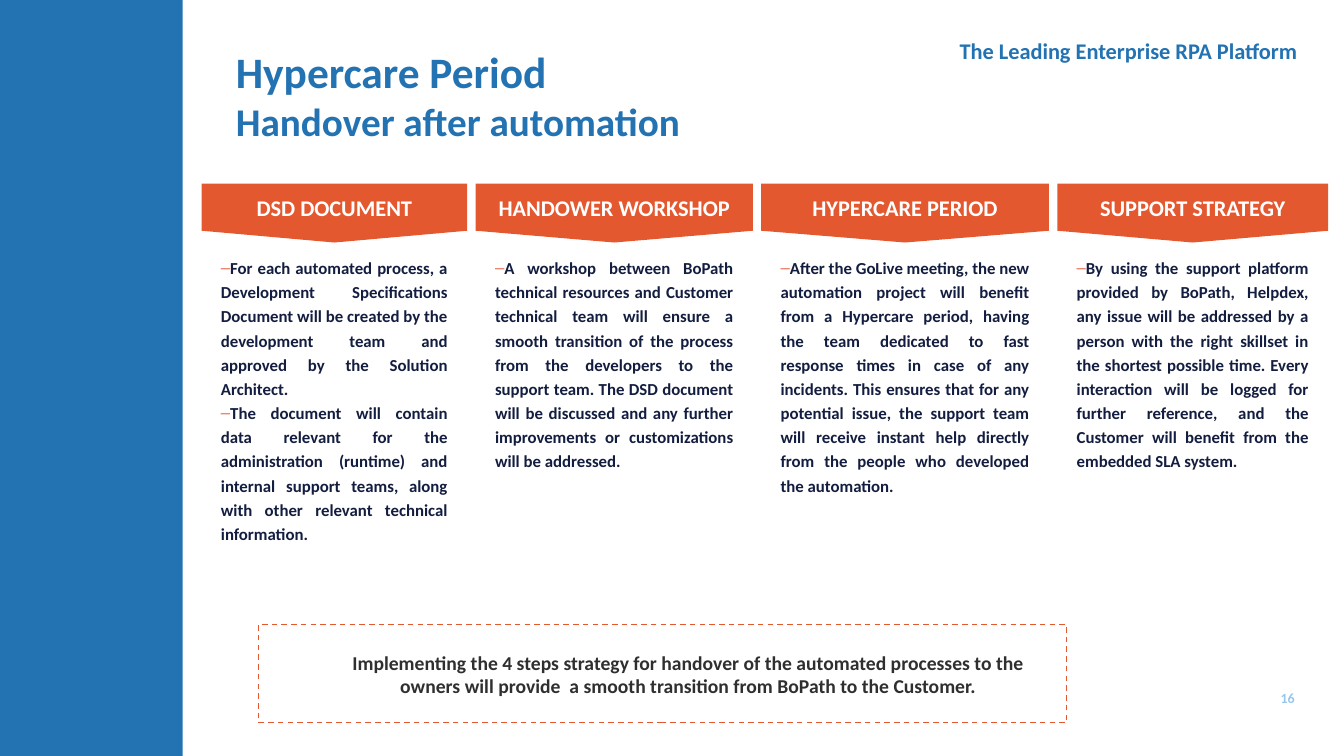
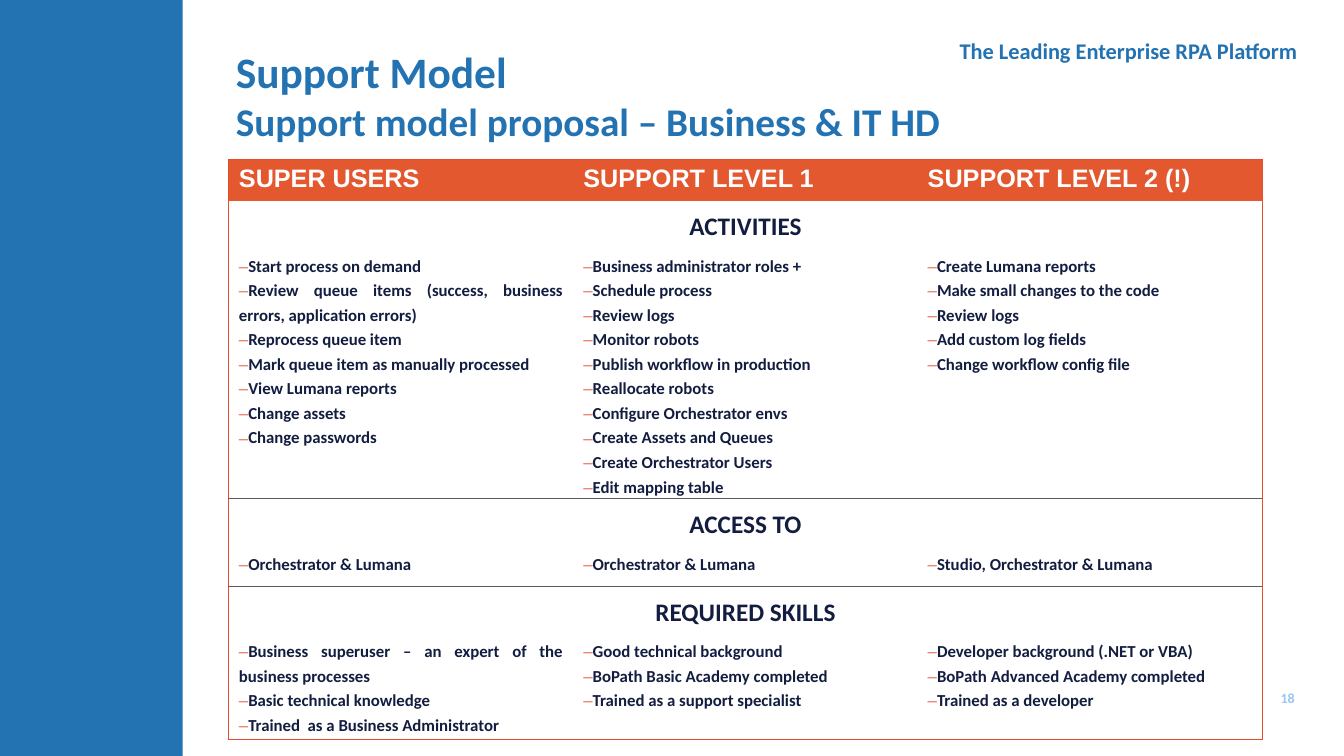
from lxml import etree
from pptx import Presentation
from pptx import util as u
from pptx.dml.color import RGBColor
from pptx.enum import dml, shapes, text
from pptx.oxml.ns import qn

PX = 9525
SLIDE_WIDTH, SLIDE_HEIGHT = 1280, 720

BLUE = RGBColor(0x23, 0x72, 0xB2)
PALE_BLUE = RGBColor(0x99, 0xC7, 0xEC)
ORANGE = RGBColor(0xE4, 0x58, 0x30)
BORDER_RED = RGBColor(0xE7, 0x4C, 0x2D)
BULLET_RED = RGBColor(0xEB, 0x6C, 0x53)
NAVY = RGBColor(0x13, 0x1D, 0x40)
DARK_GREY = RGBColor(0x2F, 0x2F, 0x2F)
RULE_GREY = RGBColor(0x59, 0x59, 0x59)
WHITE = RGBColor(0xFF, 0xFF, 0xFF)

FONT = "Calibri"
HEADER_FONT = "Arial"
TAGLINE = "The Leading Enterprise RPA Platform"
LEFT, CENTER, RIGHT, JUSTIFY = (
    text.PP_ALIGN.LEFT, text.PP_ALIGN.CENTER, text.PP_ALIGN.RIGHT, text.PP_ALIGN.JUSTIFY)

STEP_LEFT, STEP_TOP, STEP_HEIGHT, STEP_GAP = 192, 175, 56, 8
STEP_TEXT_TOP, STEP_TEXT_HEIGHT, STEP_TEXT_INSET = 237, 287, 9
STEPS = [
    ("DSD DOCUMENT", 253, [
        "For each automated process, a Development Specifications Document will be created "
        "by the development team and approved by the Solution Architect.",
        "The document will contain data relevant for the administration (runtime) and "
        "internal support teams, along with other relevant technical information."]),
    ("HANDOWER WORKSHOP", 264, [
        "A workshop between BoPath technical resources and Customer technical team will "
        "ensure a smooth transition of the process from the developers to the support team. "
        "The DSD document will be discussed and any further improvements or customizations "
        "will be addressed."]),
    ("HYPERCARE PERIOD", 274, [
        "After the GoLive meeting, the new automation project will benefit from a Hypercare "
        "period, having the team dedicated to fast response times in case of any incidents. "
        "This ensures that for any potential issue, the support team will receive instant "
        "help directly from the people who developed the automation."]),
    ("SUPPORT STRATEGY", 258, [
        "By using the support platform provided by BoPath, Helpdex, any issue will be "
        "addressed by a person with the right skillset in the shortest possible time. Every "
        "interaction will be logged for further reference, and the Customer will benefit "
        "from the embedded SLA system."]),
]
SUMMARY = ("Implementing the 4 steps strategy for handover of the automated processes to the "
           "owners will provide  a smooth transition from BoPath to the Customer.")

COLUMN_WIDTH, ROW_HEIGHT = 328, 39
SUPPORT_LEVELS = ["SUPER USERS", "SUPPORT LEVEL 1", "SUPPORT LEVEL 2 (!)"]
SUPPORT_SECTIONS = [
    ("ACTIVITIES", [
        ["Start process on demand",
         "Review queue items (success, business errors, application errors)",
         "Reprocess queue item", "Mark queue item as manually processed",
         "View Lumana reports", "Change assets", "Change passwords"],
        ["Business administrator roles +", "Schedule process", "Review logs",
         "Monitor robots", "Publish workflow in production", "Reallocate robots",
         "Configure Orchestrator envs", "Create Assets and Queues",
         "Create Orchestrator Users", "Edit mapping table"],
        ["Create Lumana reports", "Make small changes to the code", "Review logs",
         "Add custom log fields", "Change workflow config file"]]),
    ("ACCESS TO", [
        ["Orchestrator & Lumana"], ["Orchestrator & Lumana"],
        ["Studio, Orchestrator & Lumana"]]),
    ("REQUIRED SKILLS", [
        ["Business superuser – an expert of the business processes",
         "Basic technical knowledge", "Trained  as a Business Administrator"],
        ["Good technical background", "BoPath Basic Academy completed",
         "Trained as a support specialist"],
        ["Developer background (.NET or VBA)", "BoPath Advanced Academy completed",
         "Trained as a developer"]]),
]


def box(left, top, width, height):
    return [value * PX for value in (left, top, width, height)]


def add_bullet(paragraph):
    """Put a coloured dash directly before the text, without an indent."""
    properties = paragraph._p.get_or_add_pPr()
    properties.set("marL", "0")
    properties.set("indent", "0")
    color = etree.SubElement(properties, qn("a:buClr"))
    etree.SubElement(color, qn("a:srgbClr"), val=str(BULLET_RED))
    etree.SubElement(properties, qn("a:buFont"), typeface="Arial")
    etree.SubElement(properties, qn("a:buChar"), char="–")


def write(frame, lines, sizes, color, align=LEFT, font=FONT, spacing=None, bullets=False):
    """Fill a text frame, one paragraph a line; sizes is one size or one for each line."""
    if isinstance(sizes, int):
        sizes = [sizes] * len(lines)
    for index, (line, size) in enumerate(zip(lines, sizes)):
        paragraph = frame.add_paragraph() if index else frame.paragraphs[0]
        paragraph.alignment = align
        if spacing:
            paragraph.line_spacing = spacing
        if bullets:
            add_bullet(paragraph)
        run = paragraph.add_run()
        run.text = line
        run.font.name, run.font.size, run.font.bold = font, u.Pt(size), True
        run.font.color.rgb = color


def write_bullets(frame, lines):
    write(frame, lines, 12, NAVY, JUSTIFY, spacing=1.2, bullets=True)


def add_text_box(slide, bounds):
    frame = slide.shapes.add_textbox(*bounds).text_frame
    frame.word_wrap = True
    return frame


def add_filled_shape(slide, preset, bounds, color):
    shape = slide.shapes.add_shape(preset, *bounds)
    shape.shadow.inherit = False
    shape.fill.solid()
    shape.fill.fore_color.rgb = color
    shape.line.fill.background()
    return shape


def add_base_slide(presentation, title_lines, number):
    """Add a slide with the side band, tagline, page number and title."""
    slide = presentation.slides.add_slide(presentation.slide_layouts[5])
    add_filled_shape(slide, shapes.MSO_SHAPE.RECTANGLE, box(0, 0, 174, SLIDE_HEIGHT), BLUE)
    write(add_text_box(slide, box(780, 31, 465, 88)), [TAGLINE], 16, BLUE, RIGHT)
    number_frame = add_text_box(slide, box(1177, 650, 68, 30))
    number_frame.vertical_anchor = text.MSO_ANCHOR.MIDDLE
    number_frame.margin_left = number_frame.margin_right = 12 * PX
    write(number_frame, [str(number)], 10, PALE_BLUE, RIGHT)

    title = slide.shapes.title
    title.left, title.top, title.width, title.height = box(215, 38, 722, 144)
    title.text_frame.auto_size = text.MSO_AUTO_SIZE.NONE
    title.text_frame.vertical_anchor = text.MSO_ANCHOR.TOP
    write(title.text_frame, title_lines, [31, 28], BLUE)
    return slide


def add_step(slide, left, width, heading, lines):
    header = add_filled_shape(slide, shapes.MSO_SHAPE.FLOWCHART_OFFPAGE_CONNECTOR,
                              box(left, STEP_TOP, width, STEP_HEIGHT), ORANGE)
    frame = header.text_frame
    frame.margin_left = frame.margin_right = 8 * PX
    frame.margin_top = frame.margin_bottom = 8 * PX
    frame.vertical_anchor = text.MSO_ANCHOR.MIDDLE
    write(frame, [heading], 16, WHITE, CENTER)
    body = add_text_box(slide, box(left + STEP_TEXT_INSET, STEP_TEXT_TOP,
                                   width - 2 * STEP_TEXT_INSET, STEP_TEXT_HEIGHT))
    write_bullets(body, lines)


def add_summary(slide):
    frame_shape = slide.shapes.add_shape(shapes.MSO_SHAPE.RECTANGLE, *box(246, 595, 770, 93))
    frame_shape.shadow.inherit = False
    frame_shape.fill.background()
    frame_shape.line.color.rgb = ORANGE
    frame_shape.line.width = u.Pt(1)
    frame_shape.line.dash_style = dml.MSO_LINE.DASH
    write(add_text_box(slide, box(311, 615, 689, 55)), [SUMMARY], 14, DARK_GREY, CENTER)


def set_borders(cell, left=None, right=None, top=None, bottom=None):
    """Draw the sides that have a colour and hide the others."""
    properties = cell._tc.get_or_add_tcPr()
    for side, color in zip("LRTB", (left, right, top, bottom)):
        line = etree.SubElement(properties, qn(f"a:ln{side}"), w=str(u.Pt(0.75)))
        if color is None:
            etree.SubElement(line, qn("a:noFill"))
        else:
            fill = etree.SubElement(line, qn("a:solidFill"))
            etree.SubElement(fill, qn("a:srgbClr"), val=str(color))


def format_cells(table):
    """Give the header its fill, the table its outline and the sections their rules."""
    last_row, last_column = len(table.rows) - 1, len(table.columns) - 1
    for row in range(last_row + 1):
        starts_section = row % 2 == 1 and row > 1
        ends_section = row % 2 == 0 and row > 0
        top = BORDER_RED if row == 0 else RULE_GREY if starts_section else None
        bottom = BORDER_RED if row == last_row else RULE_GREY if ends_section else None
        for column in range(last_column + 1):
            cell = table.cell(row, column)
            at_right = column == last_column or cell.is_merge_origin
            set_borders(cell, BORDER_RED if column == 0 else None,
                        BORDER_RED if at_right else None, top, bottom)
            if row == 0:
                cell.fill.solid()
                cell.fill.fore_color.rgb = ORANGE
            else:
                cell.fill.background()


def add_support_table(slide):
    row_count, column_count = 1 + 2 * len(SUPPORT_SECTIONS), len(SUPPORT_LEVELS)
    bounds = box(218, 152, column_count * COLUMN_WIDTH, row_count * ROW_HEIGHT)
    table = slide.shapes.add_table(row_count, column_count, *bounds).table
    table.horz_banding = False
    for column, level in enumerate(SUPPORT_LEVELS):
        write(table.cell(0, column).text_frame, [level], 18, WHITE, font=HEADER_FONT)
    for index, (heading, lists) in enumerate(SUPPORT_SECTIONS):
        row = 1 + 2 * index
        heading_cell = table.cell(row, 0)
        heading_cell.merge(table.cell(row, column_count - 1))
        write(heading_cell.text_frame, [heading], 18, NAVY, CENTER, spacing=1.2)
        for column, lines in enumerate(lists):
            write_bullets(table.cell(row + 1, column).text_frame, lines)
    format_cells(table)


def add_hypercare_slide(presentation):
    slide = add_base_slide(presentation, ["Hypercare Period", "Handover after automation"], 16)
    left = STEP_LEFT
    for heading, width, lines in STEPS:
        add_step(slide, left, width, heading, lines)
        left += width + STEP_GAP
    add_summary(slide)


def add_support_slide(presentation):
    slide = add_base_slide(
        presentation, ["Support Model", "Support model proposal – Business & IT HD"], 18)
    add_support_table(slide)


def main():
    presentation = Presentation()
    presentation.slide_width = SLIDE_WIDTH * PX
    presentation.slide_height = SLIDE_HEIGHT * PX
    add_hypercare_slide(presentation)
    add_support_slide(presentation)
    presentation.save("out.pptx")


if __name__ == "__main__":
    main()
